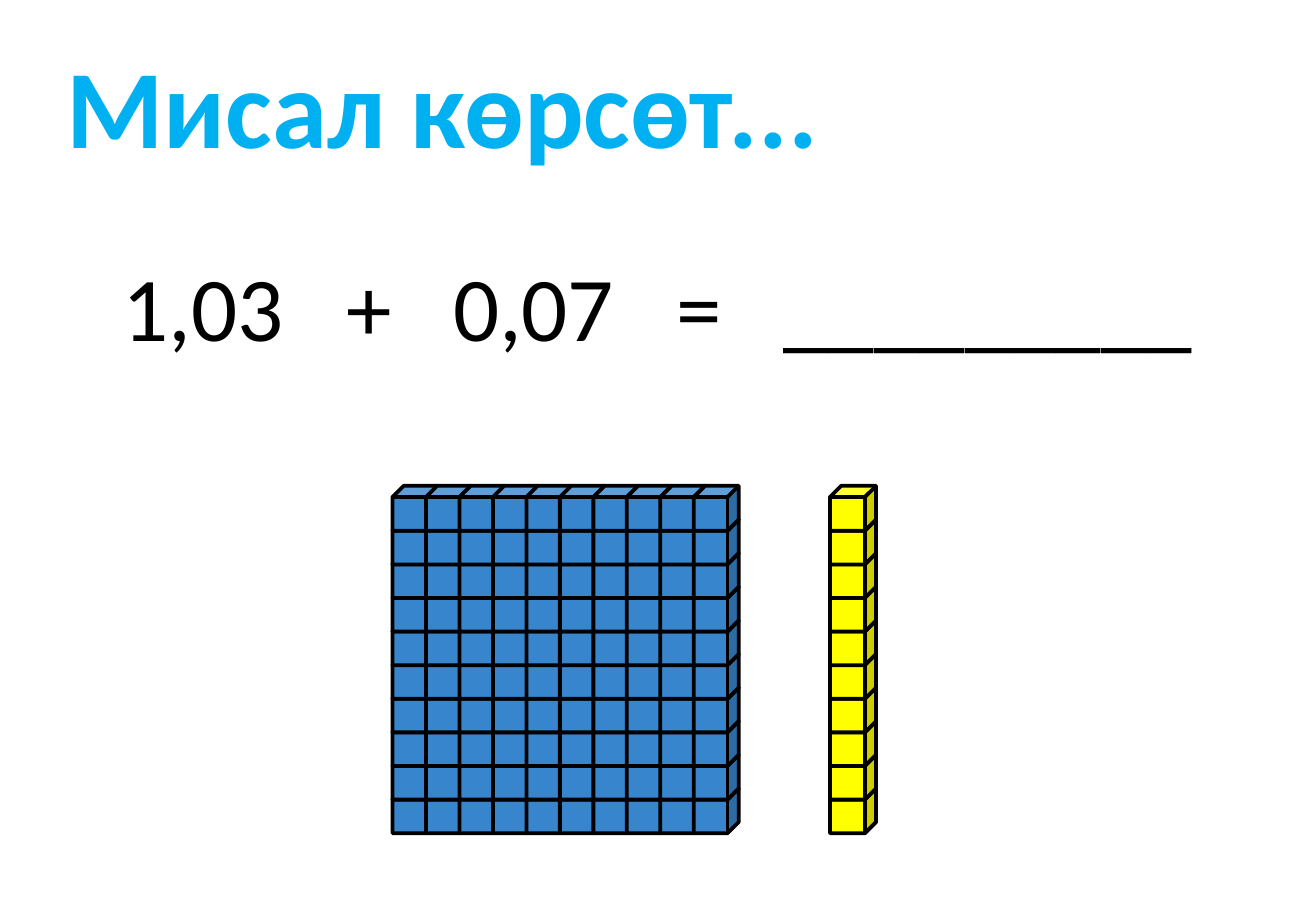
from dataclasses import dataclass

from lxml.etree import SubElement
from pptx import Presentation
from pptx.dml.color import RGBColor
from pptx.enum.shapes import MSO_SHAPE as Shape
from pptx.oxml.ns import qn
from pptx.util import Inches, Pt


@dataclass(frozen=True)
class Theme:
    font: str = "Calibri"
    title_size: int = 66
    equation_size: int = 54
    outline_width: float = 2.25
    title: RGBColor = RGBColor(0x00, 0xB0, 0xF0)
    ink: RGBColor = RGBColor(0x00, 0x00, 0x00)
    hundredths: RGBColor = RGBColor(0x37, 0x86, 0xCD)
    tenth: RGBColor = RGBColor(0xFF, 0xFF, 0x00)


THEME = Theme()
ROWS = 10
CUBE_HEIGHT = 0.37


def add_line_of_text(slide, box, text, size, color, bold=False, tab_stops=()):
    """Add one left-aligned line; tab stops are inches from the text edge."""
    frame = slide.shapes.add_textbox(*map(Inches, box)).text_frame
    frame.word_wrap = True
    frame.text = text
    line = frame.paragraphs[0]
    if tab_stops:
        tabs = SubElement(line._p.get_or_add_pPr(), qn("a:tabLst"))
        for stop in tab_stops:
            SubElement(tabs, qn("a:tab"), pos=str(Inches(stop)), algn="l")
    for run in line.runs:
        run.font.name = THEME.font
        run.font.size = Pt(size)
        run.font.bold = bold
        run.font.color.rgb = color


def add_title(slide, box):
    add_line_of_text(slide, box, "Мисал көрсөт...", THEME.title_size,
                     THEME.title, bold=True)


def add_equation(slide, box):
    parts = ["1,03", "+", "0,07", "=", "_" * 9]
    add_line_of_text(slide, box, "\t".join(parts), THEME.equation_size,
                     THEME.ink, tab_stops=(1.84, 2.72, 4.56, 5.44))


def add_cube_block(slide, box, columns, cube_width, color):
    """Fill the box with overlapping cubes, each column built from the bottom up."""
    left, top, width, height = box
    step_x = (width - cube_width) / max(columns - 1, 1)
    step_y = (height - CUBE_HEIGHT) / (ROWS - 1)
    block = slide.shapes.add_group_shape()
    for column in range(columns):
        for row in reversed(range(ROWS)):
            cube = block.shapes.add_shape(
                Shape.CUBE, Inches(left + column * step_x),
                Inches(top + row * step_y),
                Inches(cube_width), Inches(CUBE_HEIGHT))
            cube.shadow.inherit = False
            cube.fill.solid()
            cube.fill.fore_color.rgb = color
            cube.line.color.rgb = THEME.ink
            cube.line.width = Pt(THEME.outline_width)


def main():
    deck = Presentation()
    deck.slide_width, deck.slide_height = Inches(10.83), Inches(7.5)
    slide = deck.slides.add_slide(deck.slide_layouts[6])
    add_equation(slide, (0.91, 2.01, 9.1, 1.01))
    add_cube_block(slide, (6.83, 4, 0.38, 2.86), 1, 0.38, THEME.tenth)
    add_cube_block(slide, (3.23, 4, 2.85, 2.86), 10, 0.37, THEME.hundredths)
    add_title(slide, (0.45, 0.26, 7.33, 1.21))
    deck.save("out.pptx")


if __name__ == "__main__":
    main()
